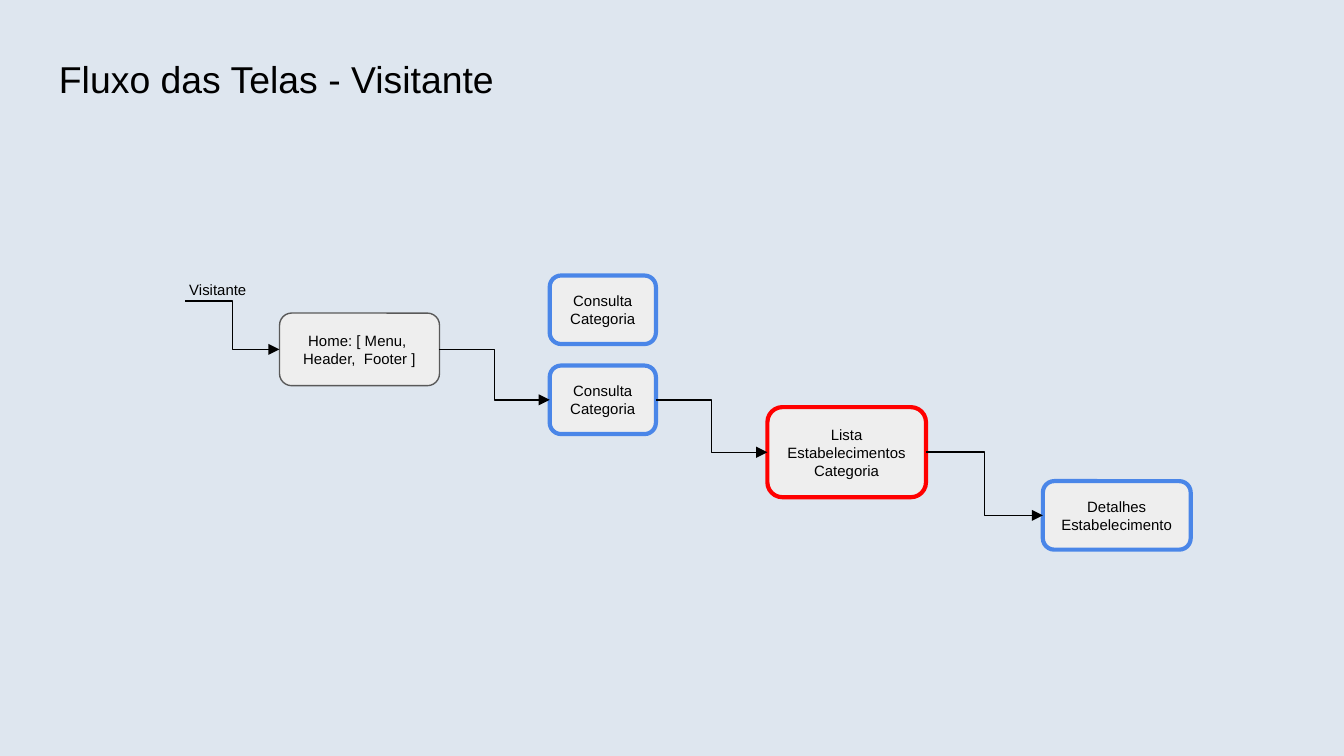
from lxml.etree import SubElement
from pptx import Presentation
from pptx.dml.color import RGBColor
from pptx.enum.shapes import MSO_CONNECTOR, MSO_SHAPE
from pptx.enum.text import MSO_ANCHOR, PP_ALIGN
from pptx.oxml.ns import qn
from pptx.util import Inches, Pt

BLACK = "000000"
GRAY = "595959"
BLUE = "4A86E8"
RED = "FF0000"
LEFT_SITE, RIGHT_SITE = 1, 3


def color(value):
    return RGBColor.from_string(value)


def write_text(shape, text, size, vertical_inset=0.1):
    text_frame = shape.text_frame
    text_frame.word_wrap = True
    text_frame.margin_left = text_frame.margin_right = Inches(0.1)
    text_frame.margin_top = text_frame.margin_bottom = Inches(vertical_inset)
    text_frame.text = text
    font = text_frame.paragraphs[0].runs[0].font
    font.name = "Arial"
    font.size = Pt(size)
    font.color.rgb = color(BLACK)


def add_label(slide, text, left, top, width, height, size, vertical_inset):
    box = slide.shapes.add_textbox(
        Inches(left), Inches(top), Inches(width), Inches(height))
    write_text(box, text, size, vertical_inset)


def add_screen(slide, text, left, top, width, height, border, border_width=2.25):
    shape = slide.shapes.add_shape(
        MSO_SHAPE.ROUNDED_RECTANGLE,
        Inches(left), Inches(top), Inches(width), Inches(height))
    shape.shadow.inherit = False
    shape.fill.solid()
    shape.fill.fore_color.rgb = color("EEEEEE")
    shape.line.color.rgb = color(border)
    shape.line.width = Pt(border_width)
    write_text(shape, text, 8)
    shape.text_frame.vertical_anchor = MSO_ANCHOR.MIDDLE
    shape.text_frame.paragraphs[0].alignment = PP_ALIGN.CENTER
    return shape


def add_arrow(slide, target, source=None, start=(0, 0)):
    begin_x, begin_y = (Inches(value) for value in start)
    connector = slide.shapes.add_connector(
        MSO_CONNECTOR.ELBOW, begin_x, begin_y,
        target.left, target.top + target.height // 2)
    if source is not None:
        connector.begin_connect(source, RIGHT_SITE)
    connector.end_connect(target, LEFT_SITE)
    connector.line.color.rgb = color(BLACK)
    connector.line.width = Pt(0.75)
    SubElement(connector.line._get_or_add_ln(), qn("a:tailEnd"), type="triangle")
    SubElement(connector._element.spPr, qn("a:effectLst"))


def main():
    presentation = Presentation()
    presentation.slide_width = Inches(10)
    presentation.slide_height = Inches(10 * 9 / 16)
    slide = presentation.slides.add_slide(presentation.slide_layouts[6])
    slide.background.fill.solid()
    slide.background.fill.fore_color.rgb = color("DEE6EF")

    add_label(slide, "Fluxo das Telas - Visitante", 0.34, 0.32, 9.32, 0.63, 20, 0.1)
    add_label(slide, "Visitante", 1.31, 2.04, 0.66, 0.28, 8, 0.05)

    add_screen(slide, "Consulta Categoria", 4.09, 2.05, 0.79, 0.51, BLUE)
    flow = [
        add_screen(slide, "Home: [ Menu,  Header,  Footer ]",
                   2.08, 2.33, 1.19, 0.54, GRAY, 0.75),
        add_screen(slide, "Consulta Categoria", 4.09, 2.72, 0.79, 0.51, BLUE),
        add_screen(slide, "Lista Estabelecimentos Categoria",
                   5.71, 3.03, 1.18, 0.67, RED),
        add_screen(slide, "Detalhes Estabelecimento", 7.76, 3.58, 1.1, 0.51, BLUE),
    ]

    add_arrow(slide, flow[0], start=(1.38, 2.24))
    for source, target in zip(flow, flow[1:]):
        add_arrow(slide, target, source)

    presentation.save("out.pptx")


if __name__ == "__main__":
    main()
